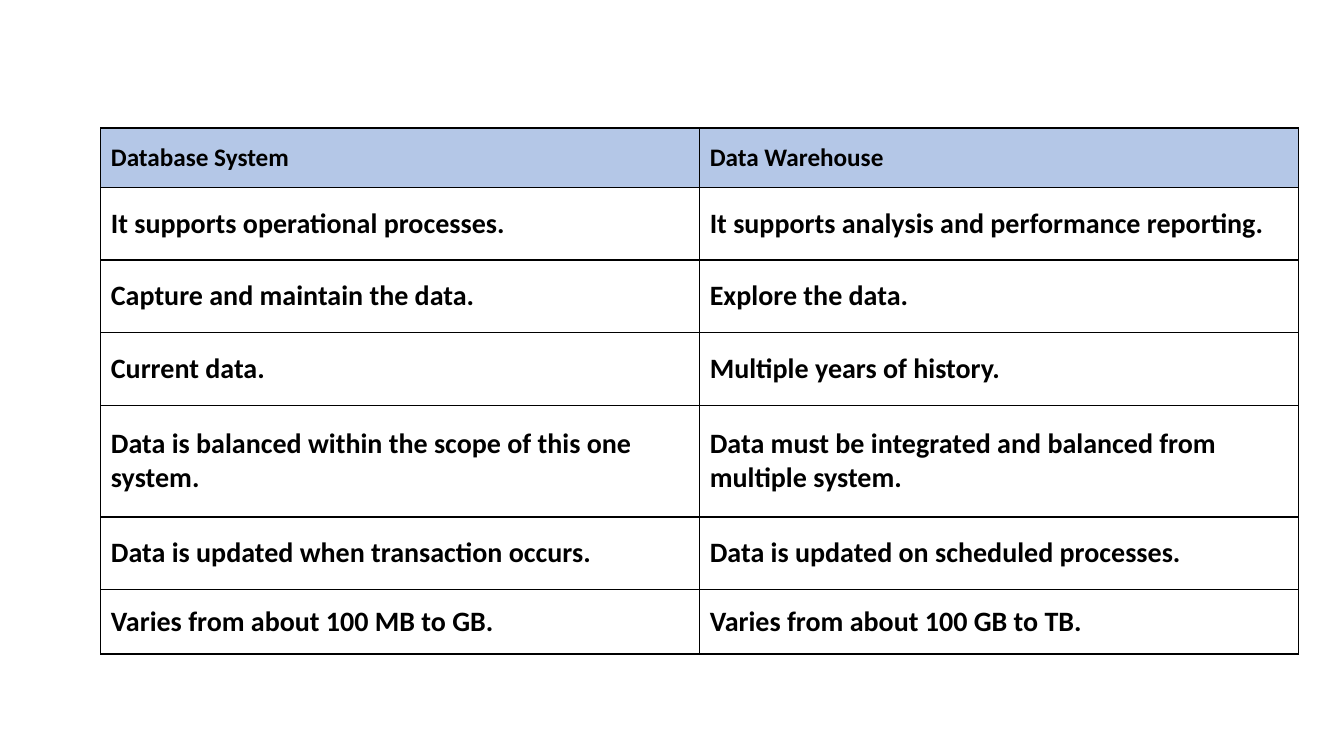
from dataclasses import dataclass

from lxml.etree import SubElement
from pptx import Presentation
from pptx.dml.color import RGBColor
from pptx.enum.text import MSO_ANCHOR
from pptx.oxml.ns import qn
from pptx.table import _Cell
from pptx.util import Inches, Pt

BLACK = RGBColor(0x00, 0x00, 0x00)
HEADER_BLUE = RGBColor(0xB4, 0xC7, 0xE7)
FONT = "Calibri"
COLUMN_WIDTH = 5.94


@dataclass(frozen=True)
class ComparisonRow:
    database: str
    warehouse: str
    height: float = 0.72


@dataclass(frozen=True)
class CellStyle:
    size: int
    vertical_margin: float
    fill: RGBColor | None = None


HEADER_STYLE = CellStyle(18, 0.1, HEADER_BLUE)
BODY_STYLE = CellStyle(20, 0.15)

COMPARISON = [
    ComparisonRow("Database System", "Data Warehouse", 0.59),
    ComparisonRow("It supports operational processes.",
                  "It supports analysis and performance reporting."),
    ComparisonRow("Capture and maintain the data.", "Explore the data."),
    ComparisonRow("Current data.", "Multiple years of history."),
    ComparisonRow("Data is balanced within the scope of this one system.",
                  "Data must be integrated and balanced from multiple system.", 1.11),
    ComparisonRow("Data is updated when transaction occurs.",
                  "Data is updated on scheduled processes."),
    ComparisonRow("Varies from about 100 MB to GB.",
                  "Varies from about 100 GB to TB.", 0.61),
]


def add_borders(cell: _Cell) -> None:
    properties = cell._tc.get_or_add_tcPr()
    for side in ("a:lnL", "a:lnR", "a:lnT", "a:lnB"):
        border = SubElement(properties, qn(side), w=str(Pt(1)))
        border_fill = SubElement(border, qn("a:solidFill"))
        SubElement(border_fill, qn("a:srgbClr"), val=str(BLACK))


def write_cell(cell: _Cell, wording: str, style: CellStyle) -> None:
    add_borders(cell)
    if style.fill is None:
        cell.fill.background()
    else:
        cell.fill.solid()
        cell.fill.fore_color.rgb = style.fill
    cell.vertical_anchor = MSO_ANCHOR.MIDDLE
    cell.margin_left = cell.margin_right = Inches(0.1)
    cell.margin_top = cell.margin_bottom = Inches(style.vertical_margin)
    cell.text_frame.text = wording
    font = cell.text_frame.paragraphs[0].runs[0].font
    font.name = FONT
    font.size = Pt(style.size)
    font.bold = True
    font.color.rgb = BLACK


def main() -> None:
    presentation = Presentation()
    presentation.slide_width = Inches(13.33)
    presentation.slide_height = Inches(7.5)
    slide = presentation.slides.add_slide(presentation.slide_layouts[6])

    total_height = sum(row.height for row in COMPARISON)
    comparison_table = slide.shapes.add_table(
        len(COMPARISON), 2, Inches(1), Inches(1.27),
        Inches(2 * COLUMN_WIDTH), Inches(total_height)).table
    for column in comparison_table.columns:
        column.width = Inches(COLUMN_WIDTH)
    for index, row in enumerate(COMPARISON):
        comparison_table.rows[index].height = Inches(row.height)
        style = HEADER_STYLE if index == 0 else BODY_STYLE
        write_cell(comparison_table.cell(index, 0), row.database, style)
        write_cell(comparison_table.cell(index, 1), row.warehouse, style)

    presentation.save("out.pptx")


if __name__ == "__main__":
    main()
